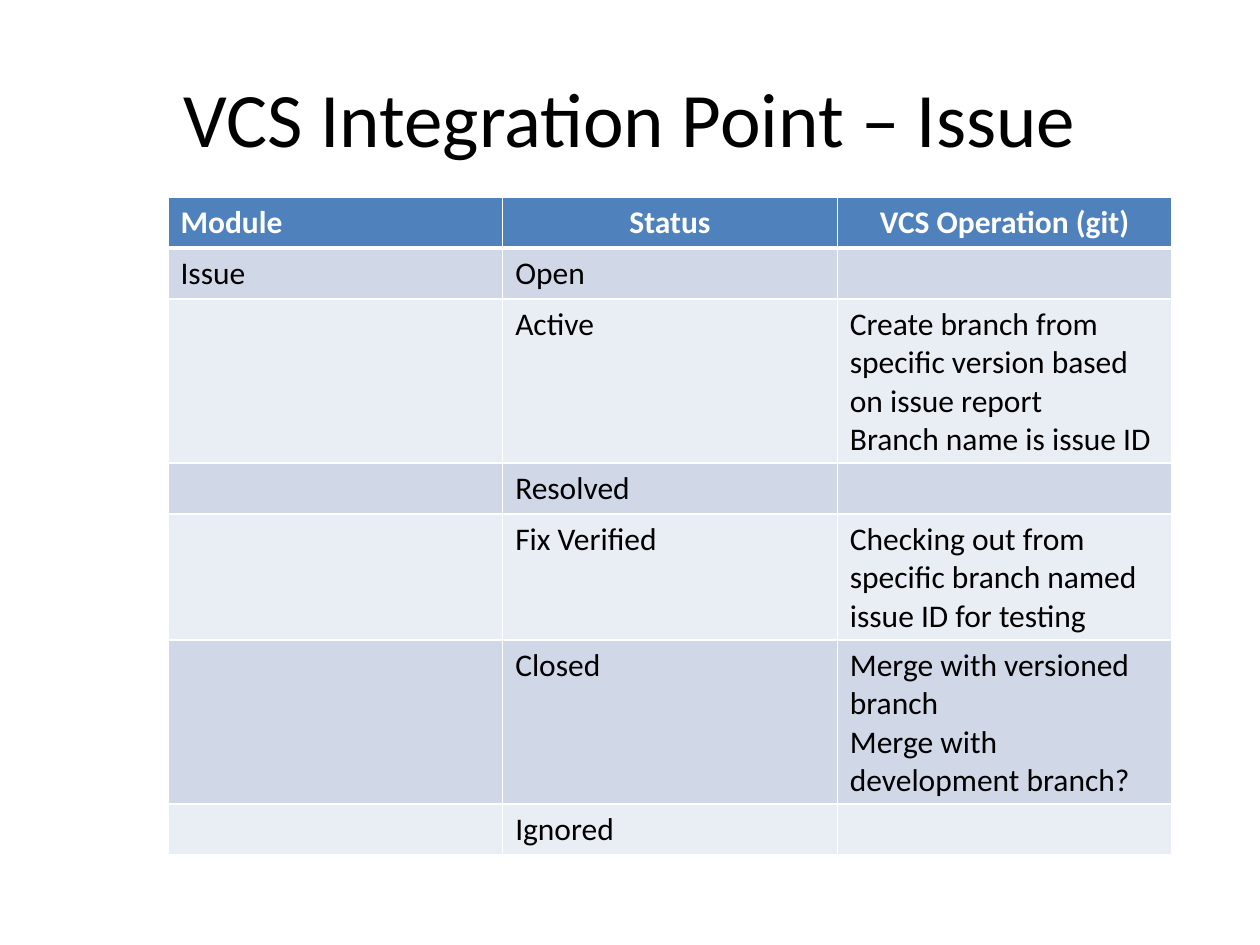
from lxml import etree
from pptx import Presentation
from pptx.dml.color import RGBColor
from pptx.enum import text
from pptx.oxml.ns import qn
from pptx.util import Pt

TITLE = "VCS Integration Point – Issue"
HEADER = ("Module", "Status", "VCS Operation (git)")
ROWS = [
    ("Issue", "Open", ""),
    ("", "Active", "Create branch from specific version based on issue report\n"
                   "Branch name is issue ID"),
    ("", "Resolved", ""),
    ("", "Fix Verified", "Checking out from specific branch named issue ID for testing"),
    ("", "Closed", "Merge with versioned branch\nMerge with development branch?"),
    ("", "Ignored", ""),
]
FONT = "Calibri"
BLACK, WHITE = "000000", "FFFFFF"
HEADER_FILL, BANDS = "4F81BD", ("D0D8E8", "E9EDF4")
TABLE_LEFT, TABLE_TOP = 96, 112.5
COLUMN_WIDTH, ROW_HEIGHT = 191.25, 29.2


def color(value):
    """Turn a hex string into a colour."""
    return RGBColor.from_string(value)


def write(frame, words, size, ink, bold=False, align=text.PP_ALIGN.LEFT):
    """Put words in a text frame and format every run."""
    frame.text = words
    for para in frame.paragraphs:
        para.alignment = align
        para.font.size = Pt(size)
        for span in para.runs:
            span.font.name = FONT
            span.font.size = Pt(size)
            span.font.bold = bold
            span.font.color.rgb = color(ink)


def set_borders(cell, bottom):
    """Draw white cell borders, 1 pt wide except for the bottom one."""
    props = cell._tc.get_or_add_tcPr()
    widths = {"lnL": 1, "lnR": 1, "lnT": 1, "lnB": bottom}
    for place, (side, width) in enumerate(widths.items()):
        line = etree.Element(qn(f"a:{side}"), w=str(Pt(width)))
        fill = etree.SubElement(line, qn("a:solidFill"))
        etree.SubElement(fill, qn("a:srgbClr"), val=WHITE)
        props.insert(place, line)


def add_title(page):
    """Add the centred slide title."""
    box = page.shapes.add_textbox(Pt(36), Pt(21.6), Pt(648), Pt(90))
    frame = box.text_frame
    frame.word_wrap = True
    frame.vertical_anchor = text.MSO_ANCHOR.MIDDLE
    write(frame, TITLE, 44, BLACK, align=text.PP_ALIGN.CENTER)


def add_status_table(page):
    """Add the table of issue statuses and operations."""
    lines = [HEADER] + ROWS
    table = page.shapes.add_table(
        len(lines), len(HEADER), Pt(TABLE_LEFT), Pt(TABLE_TOP),
        Pt(COLUMN_WIDTH * len(HEADER)), Pt(ROW_HEIGHT * len(lines))).table
    for column in table.columns:
        column.width = Pt(COLUMN_WIDTH)
    for r, line in enumerate(lines):
        table.rows[r].height = Pt(ROW_HEIGHT)
        is_header = r == 0
        for c, words in enumerate(line):
            cell = table.cell(r, c)
            cell.fill.solid()
            cell.fill.fore_color.rgb = color(HEADER_FILL if is_header else BANDS[(r - 1) % 2])
            centred = is_header and c > 0
            write(cell.text_frame, words, 18, WHITE if is_header else BLACK, is_header,
                  text.PP_ALIGN.CENTER if centred else text.PP_ALIGN.LEFT)
            set_borders(cell, 3 if is_header else 1)


deck = Presentation()
deck.slide_width, deck.slide_height = Pt(720), Pt(540)
slide = deck.slides.add_slide(deck.slide_layouts[6])
add_title(slide)
add_status_table(slide)
deck.save("out.pptx")
